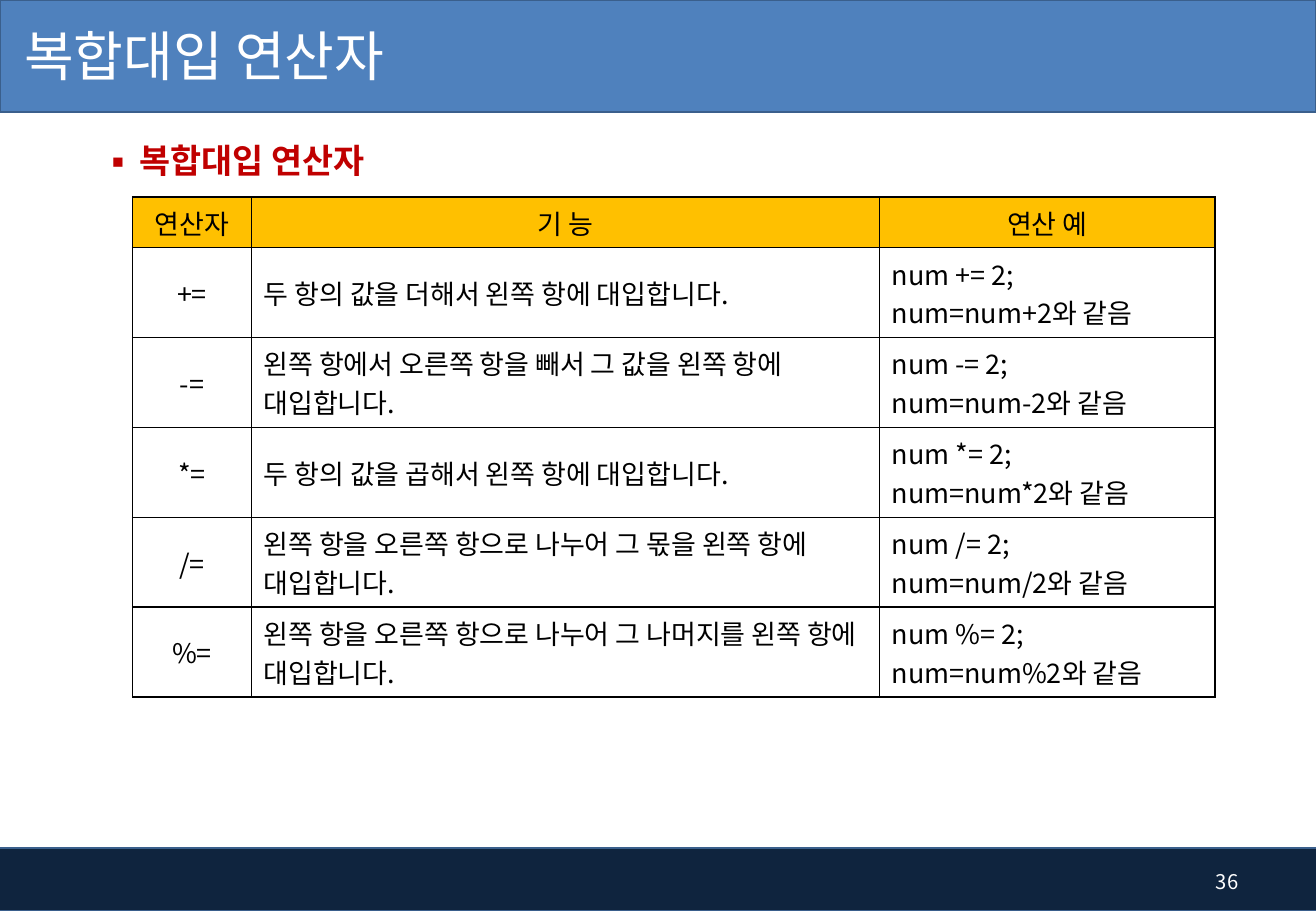
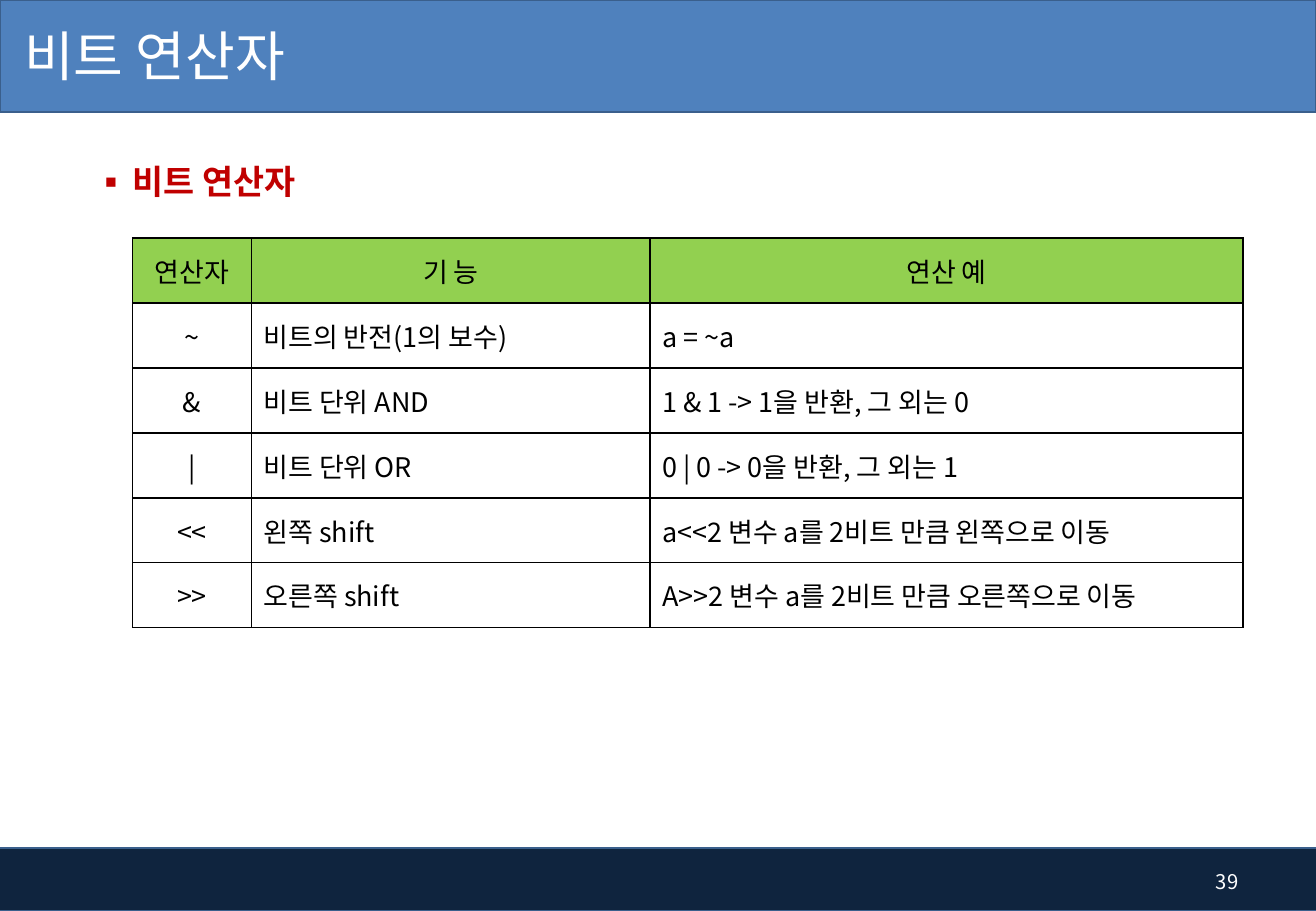
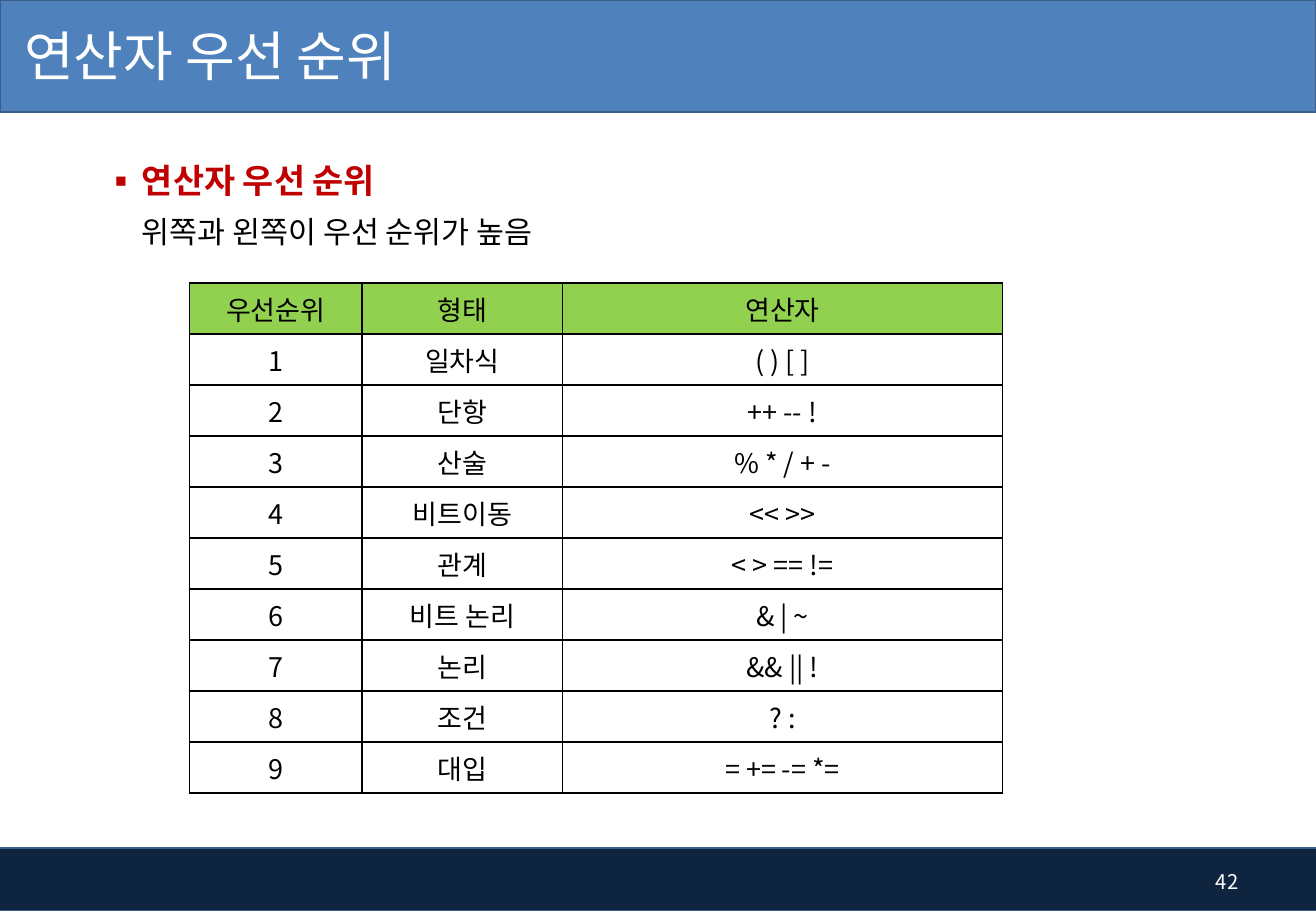
from lxml import etree
from pptx import Presentation
from pptx import util as u
from pptx.dml.color import RGBColor
from pptx.enum import shapes, text
from pptx.oxml.ns import qn

FONT = "Noto Sans CJK KR"
WHITE, BLACK, RED = "FFFFFF", "000000", "C00000"
BLUE, NAVY, EDGE = "4F81BD", "0F243E", "3A5F8C"
AMBER, GREEN = "FFC000", "92D050"
LEFT, MID, RIGHT = text.PP_ALIGN.LEFT, text.PP_ALIGN.CENTER, text.PP_ALIGN.RIGHT


def rgb(code):
    return RGBColor.from_string(code)


def place(box):
    return [u.Inches(n) for n in box]


def style(para, size, color, bold=False, align=LEFT):
    para.alignment = align
    font = para.font
    font.size, font.bold, font.name = u.Pt(size), bold, FONT
    font.color.rgb = rgb(color)
    props = para._p.get_or_add_pPr().find(qn("a:defRPr"))
    etree.SubElement(props, qn("a:ea"), typeface=FONT)


def indent(para, left, first, mark=None):
    props = para._p.get_or_add_pPr()
    props.set("marL", str(u.Inches(left)))
    props.set("indent", str(u.Inches(first)))
    if mark:
        etree.SubElement(props, qn("a:buFont"), typeface=FONT)
        etree.SubElement(props, qn("a:buChar"), char=mark)


def frame(cell):
    """Draw thin black borders on all four sides of a cell."""
    props = cell._tc.get_or_add_tcPr()
    for side in ("lnL", "lnR", "lnT", "lnB"):
        line = etree.SubElement(props, qn("a:" + side), w=str(u.Pt(1)))
        fill = etree.SubElement(line, qn("a:solidFill"))
        etree.SubElement(fill, qn("a:srgbClr"), val=BLACK)


class Deck:
    def __init__(self):
        self.prs = Presentation()
        self.prs.slide_width, self.prs.slide_height = place((10.83, 7.5))

    def page(self, title, number):
        """Start a slide with its bands, title and page number."""
        self.slide = self.prs.slides.add_slide(self.prs.slide_layouts[6])
        self.band((-0.04, 6.98, 10.88, 0.52), NAVY)
        self.band((0, 0, 10.83, 0.92), BLUE)
        self.label((0, -0.02, 6.78, 0.94), title, 32, inset=0.2)
        self.label((9.68, 7.06, 0.61, 0.4), str(number), 12, RIGHT)

    def band(self, box, color):
        band = self.slide.shapes.add_shape(
            shapes.MSO_SHAPE.RECTANGLE, *place(box))
        band.shadow.inherit = False
        band.fill.solid()
        band.fill.fore_color.rgb = rgb(color)
        band.line.color.rgb = rgb(EDGE)
        band.line.width = u.Pt(1)

    def box(self, box):
        body = self.slide.shapes.add_textbox(*place(box)).text_frame
        body.word_wrap = True
        return body

    def label(self, box, words, size, align=LEFT, inset=0.1):
        body = self.box(box)
        body.vertical_anchor = text.MSO_ANCHOR.MIDDLE
        body.margin_left = u.Inches(inset)
        para = body.paragraphs[0]
        para.text = words
        style(para, size, WHITE, align=align)

    def topic(self, box, head, note=None):
        """Write a red bulleted heading and an optional note below it."""
        body = self.box(box)
        para = body.paragraphs[0]
        para.text, para.line_spacing = head, 0.9
        indent(para, 0.31, -0.31, "▪")
        style(para, 20, RED, True)
        if note:
            para = body.add_paragraph()
            para.text, para.line_spacing = note, 0.9
            para.space_before = u.Pt(10)
            indent(para, 0.31, 0)
            style(para, 18, BLACK)

    def table(self, spot, cols, top, step, color, aligns, rows):
        """Draw a table with head row height top and body row height step."""
        high = top + step * (len(rows) - 1)
        grid = self.slide.shapes.add_table(
            len(rows), len(cols), *place((*spot, sum(cols), high))).table
        grid.first_row = grid.horz_banding = False
        for col, wide in zip(grid.columns, cols):
            col.width = u.Inches(wide)
        for i, row in enumerate(rows):
            grid.rows[i].height = u.Inches(step if i else top)
            for j, words in enumerate(row):
                cell = grid.cell(i, j)
                frame(cell)
                if i:
                    cell.fill.background()
                else:
                    cell.fill.solid()
                    cell.fill.fore_color.rgb = rgb(color)
                cell.vertical_anchor = text.MSO_ANCHOR.MIDDLE
                cell.text = words
                for para in cell.text_frame.paragraphs:
                    style(para, 16, BLACK, align=aligns[j] if i else MID)


def main():
    deck = Deck()

    deck.page("복합대입 연산자", 36)
    deck.topic((0.74, 1.14, 8.3, 0.4), "복합대입 연산자")
    uses = [
        ("+", "두 항의 값을 더해서 왼쪽 항에 대입합니다."),
        ("-", "왼쪽 항에서 오른쪽 항을 빼서 그 값을 왼쪽 항에 대입합니다."),
        ("*", "두 항의 값을 곱해서 왼쪽 항에 대입합니다."),
        ("/", "왼쪽 항을 오른쪽 항으로 나누어 그 몫을 왼쪽 항에 대입합니다."),
        ("%", "왼쪽 항을 오른쪽 항으로 나누어 그 나머지를 왼쪽 항에 대입합니다."),
    ]
    rows = [(f"{op}=", use, f"num {op}= 2;\nnum=num{op}2와 같음")
            for op, use in uses]
    deck.table((1.09, 1.62), (0.98, 5.17, 2.76), 0.42, 0.74, AMBER,
               (MID, LEFT, LEFT), [("연산자", "기 능", "연산 예"), *rows])

    deck.page("비트 연산자", 39)
    deck.topic((0.68, 1.31, 4.18, 0.36), "비트 연산자")
    step = 3.21 / 6
    deck.table((1.09, 1.96), (0.98, 3.28, 4.88), step, step, GREEN,
               (MID, LEFT, LEFT), [
        ("연산자", "기 능", "연산 예"),
        ("~", "비트의 반전(1의 보수)", "a = ~a"),
        ("&", "비트 단위 AND", "1 & 1 -> 1을 반환, 그 외는 0"),
        ("|", "비트 단위 OR", "0 | 0 -> 0을 반환, 그 외는 1"),
        ("<<", "왼쪽 shift", "a<<2 변수 a를 2비트 만큼 왼쪽으로 이동"),
        (">>", "오른쪽 shift", "A>>2 변수 a를 2비트 만큼 오른쪽으로 이동"),
    ])

    deck.page("연산자 우선 순위", 42)
    deck.topic((0.76, 1.3, 8.12, 1.03), "연산자 우선 순위",
               "위쪽과 왼쪽이 우선 순위가 높음")
    ranks = [
        ("일차식", "( ) [ ]"),
        ("단항", "++ -- !"),
        ("산술", "% * / + -"),
        ("비트이동", "<< >>"),
        ("관계", "< > == !="),
        ("비트 논리", "& | ~"),
        ("논리", "&& || !"),
        ("조건", "? :"),
        ("대입", "= += -= *="),
    ]
    rows = [(str(n), *rank) for n, rank in enumerate(ranks, 1)]
    deck.table((1.56, 2.33), (1.42, 1.65, 3.62), 0.42, 0.42, GREEN,
               (MID, MID, MID), [("우선순위", "형태", "연산자"), *rows])

    deck.prs.save("out.pptx")


if __name__ == "__main__":
    main()
